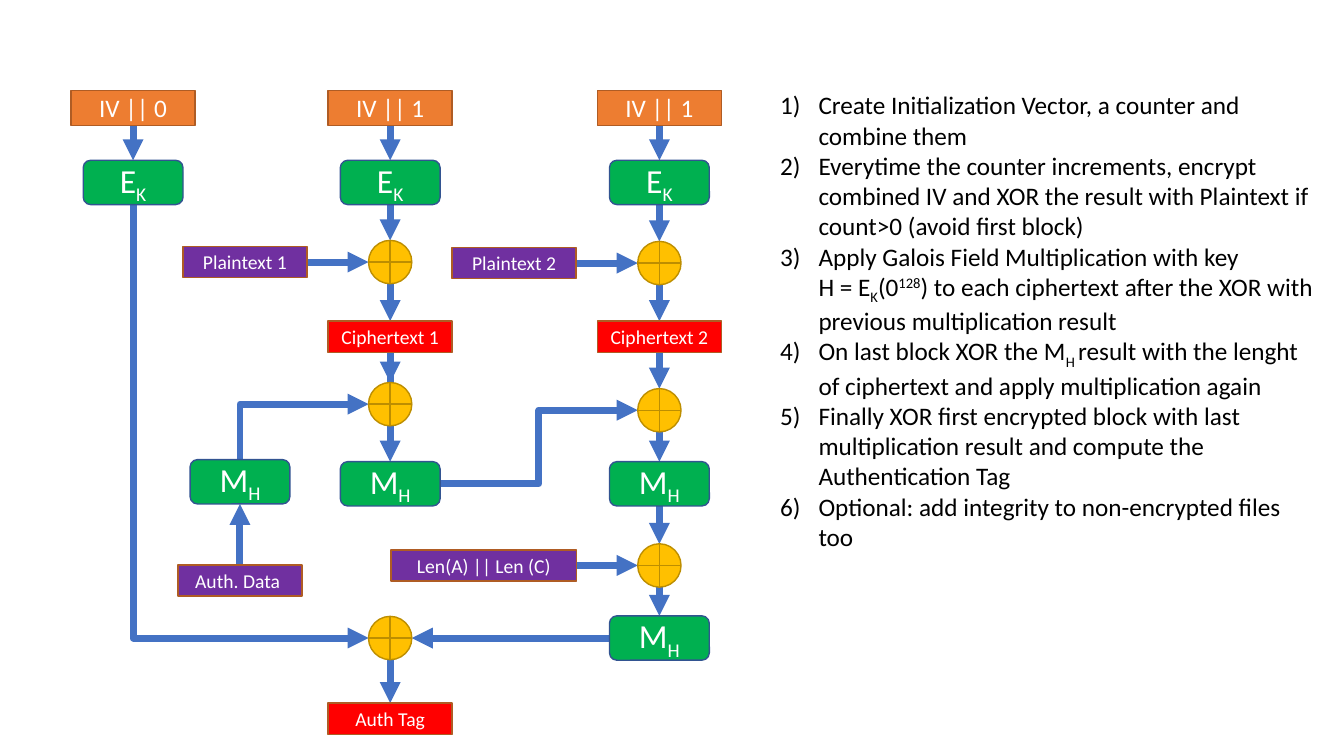
"""Build a slide that explains authenticated encryption in Galois/Counter Mode."""
from lxml.etree import SubElement
from pptx import Presentation
from pptx.dml.color import RGBColor
from pptx.enum.shapes import MSO_CONNECTOR as Line, MSO_SHAPE as Shape
from pptx.enum.text import MSO_ANCHOR as Anchor, PP_ALIGN as Align
from pptx.oxml.ns import qn
from pptx.util import Inches, Pt

FONT = "Calibri"
COLORS = {
    "arrow": "4472C4", "orange": "ED7D31", "green": "00B050", "purple": "7030A0",
    "red": "FF0000", "gold": "FFC000", "brown edge": "AF5C24", "blue edge": "325491",
    "gold edge": "BD8E00", "white": "FFFFFF", "black": "000000",
}
KINDS = {
    "counter": (Shape.RECTANGLE, 1.23, 0.35, "orange", "brown edge", 18),
    "function": (Shape.ROUNDED_RECTANGLE, 0.99, 0.44, "green", "blue edge", 24),
    "input": (Shape.RECTANGLE, 1.23, 0.31, "purple", "brown edge", 14),
    "wide input": (Shape.RECTANGLE, 1.84, 0.31, "purple", "brown edge", 14),
    "output": (Shape.RECTANGLE, 1.23, 0.31, "red", "brown edge", 14),
    "xor": (Shape.FLOWCHART_OR, 0.43, 0.43, "gold", "gold edge", 14),
}
FIRST, SECOND, THIRD, AUTH = 1.32, 3.87, 6.54, 2.38
ENCRYPT = [("E", 0), ("K", -25)]
MULTIPLY = [("M", 0), ("H", -25)]
NODES = {
    "counter 0": ("counter", FIRST, 1.07, [("IV || 0", 0)]),
    "counter 1": ("counter", SECOND, 1.07, [("IV || 1", 0)]),
    "counter 2": ("counter", THIRD, 1.07, [("IV || 1", 0)]),
    "encrypt 0": ("function", FIRST, 1.81, ENCRYPT),
    "encrypt 1": ("function", SECOND, 1.81, ENCRYPT),
    "encrypt 2": ("function", THIRD, 1.81, ENCRYPT),
    "plaintext 1": ("input", 2.43, 2.6, [("Plaintext 1", 0)]),
    "plaintext 2": ("input", 5.1, 2.61, [("Plaintext 2", 0)]),
    "text xor 1": ("xor", SECOND, 2.6, []),
    "text xor 2": ("xor", THIRD, 2.61, []),
    "ciphertext 1": ("output", SECOND, 3.34, [("Ciphertext 1", 0)]),
    "ciphertext 2": ("output", THIRD, 3.34, [("Ciphertext 2", 0)]),
    "hash xor 1": ("xor", SECOND, 4.01, []),
    "hash xor 2": ("xor", THIRD, 4.07, []),
    "multiply auth": ("function", AUTH, 4.78, MULTIPLY),
    "multiply 1": ("function", SECOND, 4.8, MULTIPLY),
    "multiply 2": ("function", THIRD, 4.8, MULTIPLY),
    "auth data": ("input", AUTH, 5.76, [("Auth. Data ", 0)]),
    "lengths": ("wide input", 4.8, 5.61, [("Len(A) || Len (C)", 0)]),
    "length xor": ("xor", THIRD, 5.61, []),
    "multiply last": ("function", THIRD, 6.33, MULTIPLY),
    "tag xor": ("xor", SECOND, 6.33, []),
    "auth tag": ("output", SECOND, 7.13, [("Auth Tag", 0)]),
}
CHAINS = [
    ("counter 0", "encrypt 0"),
    ("counter 1", "encrypt 1", "text xor 1", "ciphertext 1", "hash xor 1"),
    ("ciphertext 1", "multiply 1"),
    ("counter 2", "encrypt 2", "text xor 2", "ciphertext 2", "hash xor 2",
     "multiply 2", "length xor", "multiply last"),
    ("tag xor", "auth tag"),
]
SIDE_LINKS = [
    ("plaintext 1", "right", "text xor 1", "left"),
    ("plaintext 2", "right", "text xor 2", "left"),
    ("lengths", "right", "length xor", "left"),
    ("multiply last", "left", "tag xor", "right"),
    ("auth data", "top", "multiply auth", "bottom"),
    ("multiply auth", "top", "hash xor 1", "left"),
    ("multiply 1", "right", "hash xor 2", "left"),
    ("encrypt 0", "bottom", "tag xor", "left"),
]
SIDES = {"left": (-0.5, 0), "right": (0.5, 0), "top": (0, -0.5), "bottom": (0, 0.5)}
STEPS = [
    [("Create Initialization Vector, a counter and combine them", 0)],
    [("Everytime the counter increments, encrypt combined IV and XOR the result "
      "with Plaintext if count>0 (avoid first block)", 0)],
    [("Apply Galois Field Multiplication with key\vH = E", 0), ("K", -25), ("(0", 0),
     ("128", 30), (") to each ciphertext after the XOR with previous multiplication result", 0)],
    [("On last block XOR the M", 0), ("H ", -25),
     ("result with the lenght of ciphertext and apply multiplication again", 0)],
    [("Finally XOR first encrypted block with last multiplication result and compute "
      "the Authentication Tag", 0)],
    [("Optional: add integrity to non-encrypted files too", 0)],
]


def color(name):
    return RGBColor.from_string(COLORS[name])


def write(para, spans, size, ink):
    para.text = spans[0][0]
    for text, _ in spans[1:]:
        para.add_run().text = text
    shifts = [0] * (len(para.runs) - len(spans)) + [shift for _, shift in spans]
    for span, shift in zip(para.runs, shifts):
        span.font.name, span.font.size = FONT, Pt(size)
        span.font.color.rgb = color(ink)
        if shift:
            span.font._element.set("baseline", str(shift * 1000))


def anchor(name, side):
    kind, x, y, _ = NODES[name]
    _, width, height, *_ = KINDS[kind]
    across, down = SIDES[side]
    return x + across * width, y + down * height


def add_arrow(page, source, source_side, target, target_side):
    x1, y1 = anchor(source, source_side)
    x2, y2 = anchor(target, target_side)
    turns_once = source_side in ("top", "bottom") and target_side == "left"
    straight = source_side in ("top", "bottom") or abs(y1 - y2) < 0.01
    rotation = 0
    if turns_once:
        rotation = 270 if y2 > y1 else 90
        middle_x, middle_y = (x1 + x2) / 2, (y1 + y2) / 2
        half_width = abs(y2 - y1) / 2
        half_height = (x2 - x1) / 2 * (1 if y2 > y1 else -1)
        x1, x2 = middle_x + half_width, middle_x - half_width
        y1, y2 = middle_y - half_height, middle_y + half_height
    style = Line.STRAIGHT if straight and not turns_once else Line.ELBOW
    arrow = page.shapes.add_connector(style, *map(Inches, (x1, y1, x2, y2)))
    arrow.line.color.rgb, arrow.line.width = color("arrow"), Pt(5)
    properties = arrow._element.spPr
    if turns_once:
        arrow.rotation = rotation
        properties.find(qn("a:prstGeom")).set("prst", "bentConnector2")
    SubElement(properties.find(qn("a:ln")), qn("a:tailEnd"), type="triangle")
    SubElement(properties, qn("a:effectLst"))


def add_node(page, kind, x, y, spans):
    shape, width, height, fill, edge, size = KINDS[kind]
    box = page.shapes.add_shape(
        shape, *map(Inches, (x - width / 2, y - height / 2, width, height)))
    box.shadow.inherit = False
    box.fill.solid()
    box.fill.fore_color.rgb = color(fill)
    box.line.color.rgb, box.line.width = color(edge), Pt(1)
    if spans:
        box.text_frame.vertical_anchor = Anchor.MIDDLE
        para = box.text_frame.paragraphs[0]
        para.alignment = Align.CENTER
        write(para, spans, size, "white")


def add_steps(page):
    frame = page.shapes.add_textbox(*map(Inches, (7.64, 0.84, 5.54, 4.64))).text_frame
    frame.word_wrap = True
    for index, spans in enumerate(STEPS):
        para = frame.add_paragraph() if index else frame.paragraphs[0]
        write(para, spans, 18, "black")
        settings = para._p.get_or_add_pPr()
        settings.set("marL", str(Inches(0.38)))
        settings.set("indent", str(-Inches(0.38)))
        SubElement(settings, qn("a:buFont"), typeface=FONT)
        SubElement(settings, qn("a:buAutoNum"), type="arabicParenR")


def main():
    deck = Presentation()
    deck.slide_width, deck.slide_height = Inches(13.33), Inches(7.5)
    page = deck.slides.add_slide(deck.slide_layouts[6])
    for chain in CHAINS:
        for source, target in zip(chain, chain[1:]):
            add_arrow(page, source, "bottom", target, "top")
    for link in SIDE_LINKS:
        add_arrow(page, *link)
    for node in NODES.values():
        add_node(page, *node)
    add_steps(page)
    deck.save("out.pptx")


if __name__ == "__main__":
    main()
